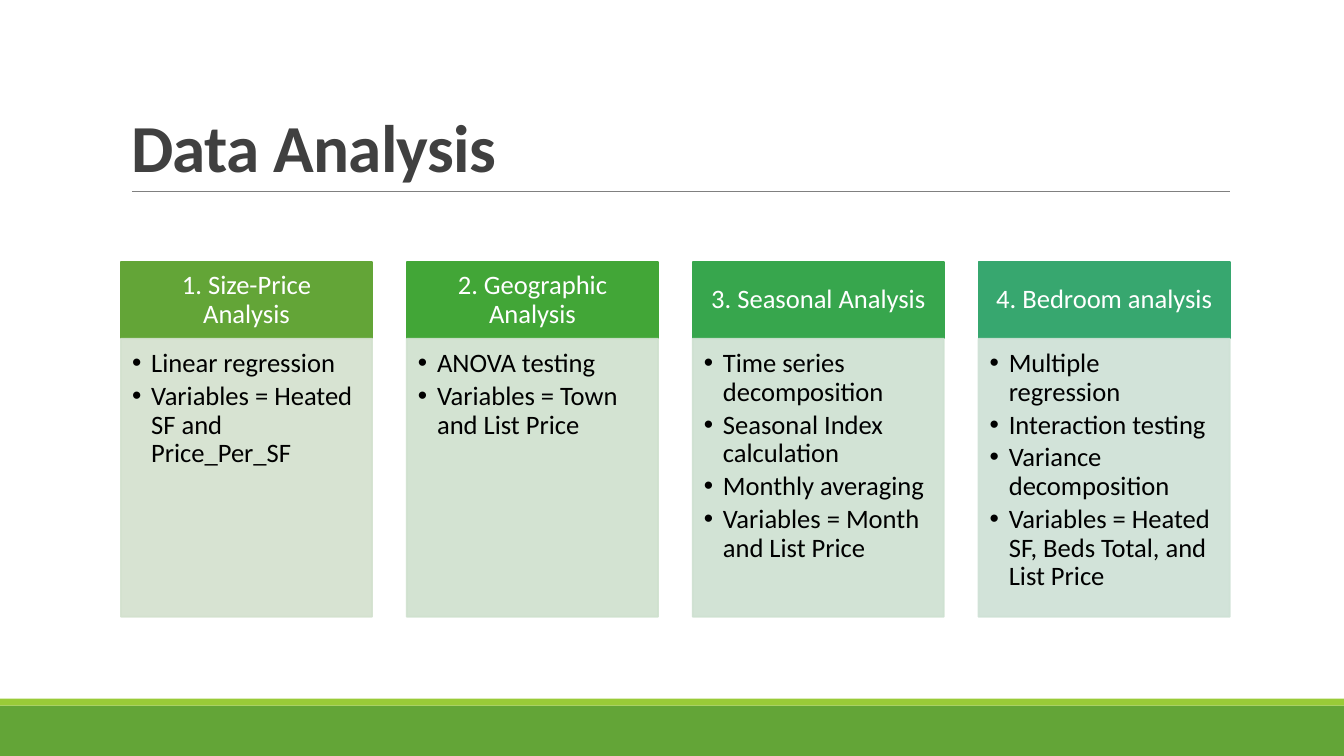
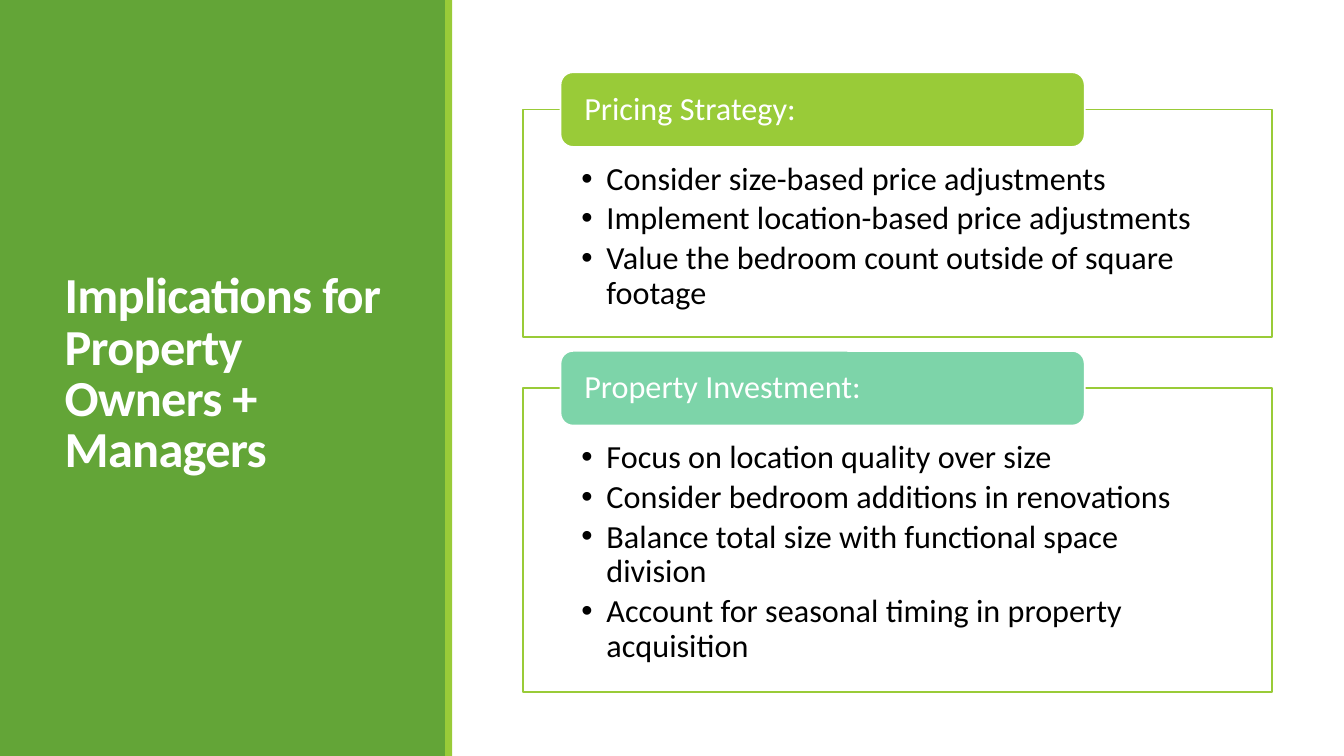
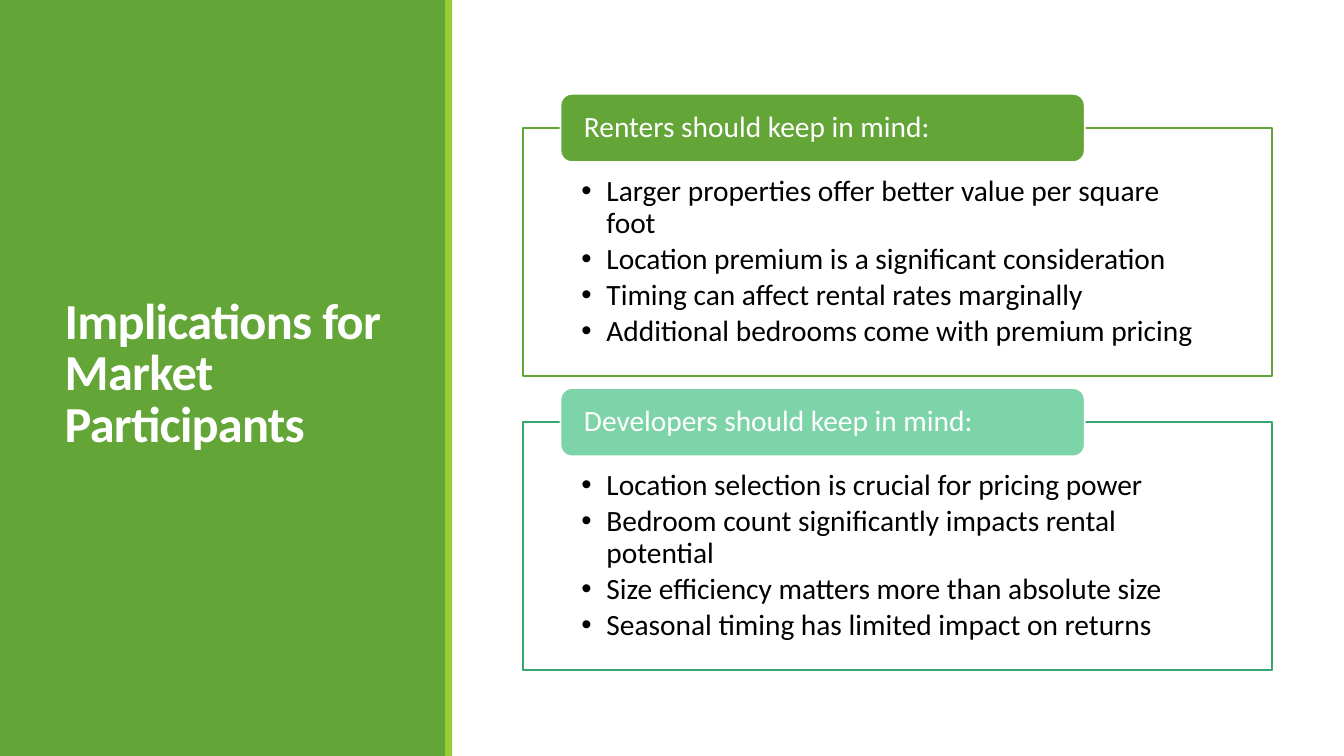
from lxml import etree
from pptx import Presentation
from pptx.dml.color import RGBColor
from pptx.enum.shapes import MSO_SHAPE as Preset
from pptx.enum.text import MSO_ANCHOR as Anchor, MSO_AUTO_SIZE as AutoSize, PP_ALIGN as Align
from pptx.oxml.ns import qn
from pptx.util import Pt

WHITE = RGBColor(0xFF, 0xFF, 0xFF)
BLACK = RGBColor(0x00, 0x00, 0x00)
CHARCOAL = RGBColor(0x40, 0x40, 0x40)
GRAY = RGBColor(0x80, 0x80, 0x80)
GREEN = RGBColor(0x63, 0xA5, 0x37)
LIME = RGBColor(0x99, 0xCB, 0x38)
LEAF = RGBColor(0x42, 0xA6, 0x37)
EMERALD = RGBColor(0x37, 0xA6, 0x4D)
TEAL = RGBColor(0x37, 0xA7, 0x6F)
MINT = RGBColor(0x7D, 0xD4, 0xA9)
PALE_GREEN = RGBColor(0xD3, 0xE1, 0xCE)
PALE_LEAF = RGBColor(0xCF, 0xE1, 0xCE)
PALE_EMERALD = RGBColor(0xCE, 0xE1, 0xD1)
PALE_TEAL = RGBColor(0xCE, 0xE1, 0xD5)

FONT = "Calibri"
SLIDE_W, SLIDE_H = 960, 540
BAND = 5


def write(frame, lines, size, color, bold=False, align=Align.LEFT, anchor=Anchor.TOP,
          insets=(7.2, 3.6, 7.2, 3.6), spacing=0.9, after=0, indent=0, tracking=0):
    """Fill a text frame, one paragraph a line; a positive indent adds bullets."""
    frame.word_wrap = True
    frame.auto_size = AutoSize.NONE
    frame.vertical_anchor = anchor
    frame.margin_left, frame.margin_top, frame.margin_right, frame.margin_bottom = map(Pt, insets)
    for index, line in enumerate(lines):
        paragraph = frame.add_paragraph() if index else frame.paragraphs[0]
        paragraph.alignment = align
        paragraph.line_spacing = spacing
        paragraph.space_before = Pt(0)
        paragraph.space_after = Pt(after)
        if indent:
            properties = paragraph._p.get_or_add_pPr()
            properties.set("marL", str(Pt(indent)))
            properties.set("indent", str(-Pt(indent)))
            etree.SubElement(properties, qn("a:buFont")).set("typeface", "Arial")
            etree.SubElement(properties, qn("a:buChar")).set("char", "•")
        run = paragraph.add_run()
        run.text = line
        run.font.name, run.font.size, run.font.bold = FONT, Pt(size), bold
        run.font.color.rgb = color
        if tracking:
            run._r.get_or_add_rPr().set("spc", str(int(tracking * 100)))


class Deck:
    def __init__(self):
        self.presentation = Presentation()
        self.presentation.slide_width = Pt(SLIDE_W)
        self.presentation.slide_height = Pt(SLIDE_H)
        self.slide = None

    def new_slide(self):
        self.slide = self.presentation.slides.add_slide(self.presentation.slide_layouts[5])

    def title(self, text, left, top, width, height, **style):
        """Place the title placeholder in front of what is drawn so far."""
        title = self.slide.shapes.title
        title.left, title.top, title.width, title.height = map(Pt, (left, top, width, height))
        write(title.text_frame, [text], bold=True, spacing=0.85, tracking=-0.5, **style)
        title.element.getparent().append(title.element)

    def block(self, left, top, width, height, fill, line=None, preset=Preset.RECTANGLE, opacity=100):
        shape = self.slide.shapes.add_shape(preset, *map(Pt, (left, top, width, height)))
        shape.shadow.inherit = False
        shape.fill.solid()
        shape.fill.fore_color.rgb = fill
        if line is None:
            shape.line.fill.background()
        else:
            shape.line.color.rgb = line
            shape.line.width = Pt(1.25)
        if opacity < 100:
            for color in shape.element.spPr.iter(qn("a:srgbClr")):
                etree.SubElement(color, qn("a:alpha")).set("val", str(opacity * 1000))
        return shape.text_frame

    def rule(self, left, right, y):
        line = self.slide.shapes.add_connector(1, Pt(left), Pt(y), Pt(right), Pt(y))
        line.line.color.rgb = GRAY
        line.line.width = Pt(0.5)
        etree.SubElement(line.element.spPr, qn("a:effectLst"))

    def bullets(self, frame, items, size, indent, insets):
        write(frame, items, size, BLACK, after=round(size * 0.15, 2), indent=indent, insets=insets)

    def column(self, left, heading, items, accent, tint):
        top, width, head_height, body_height, size = 187.2, 179.4, 54.7, 198.7, 19
        head = self.block(left, top, width, head_height, accent, accent)
        write(head, [heading], size, WHITE, align=Align.CENTER, anchor=Anchor.MIDDLE,
              insets=(10.8, 5.8, 10.8, 5.8))
        body = self.block(left, top + head_height, width, body_height, tint, tint, opacity=90)
        self.bullets(body, items, size, 13.7, (7.9, 7.9, 10.8, 12))

    def panel(self, top, height, heading, items, size, tab_color, border):
        """Outlined list with a tab centred on its top edge."""
        tab_height = size * 2.32
        body = self.block(373.6, top, 535, height, WHITE, border)
        self.bullets(body, items, size, 18, (41.6, size * 1.64, 41.6, 12))
        tab = self.block(400.4, top - tab_height / 2, 374.4, tab_height, tab_color, WHITE,
                         Preset.ROUNDED_RECTANGLE)
        write(tab, [heading], size, WHITE, anchor=Anchor.MIDDLE, insets=(14.4, 0, 14.4, 0))

    def columns_slide(self, title, columns):
        self.new_slide()
        self.block(0, 504, SLIDE_W, 36, GREEN)
        self.block(0, 504 - BAND, SLIDE_W, BAND, LIME)
        self.rule(94.3, 878.8, 136.8)
        self.title(title, 86.4, 22.6, 792, 114.2, size=48, color=CHARCOAL, anchor=Anchor.BOTTOM)
        for index, column in enumerate(columns):
            self.column(86.4 + index * 204.2, *column)

    def implications_slide(self, title, top, size, panels):
        self.new_slide()
        self.block(0, 0, 319, SLIDE_H, GREEN)
        self.title(title, 39, 41, 242.6, 454.3, size=36, color=WHITE, anchor=Anchor.MIDDLE)
        self.block(318, 0, BAND, SLIDE_H, LIME)
        for height, heading, items, tab_color, border in panels:
            self.panel(top, height, heading, items, size, tab_color, border)
            top += height + size * 1.58


def main():
    deck = Deck()
    deck.columns_slide("Data Analysis", [
        ("1. Size-Price Analysis",
         ["Linear regression", "Variables = Heated SF and Price_Per_SF"], GREEN, PALE_GREEN),
        ("2. Geographic Analysis",
         ["ANOVA testing", "Variables = Town and List Price"], LEAF, PALE_LEAF),
        ("3. Seasonal Analysis",
         ["Time series decomposition", "Seasonal Index calculation", "Monthly averaging",
          "Variables = Month and List Price"], EMERALD, PALE_EMERALD),
        ("4. Bedroom analysis",
         ["Multiple regression", "Interaction testing", "Variance decomposition",
          "Variables = Heated SF, Beds Total, and List Price"], TEAL, PALE_TEAL),
    ])
    deck.implications_slide("Implications for Property Owners + Managers", 78.3, 23, [
        (162.7, "Pricing Strategy:",
         ["Consider size-based price adjustments",
          "Implement location-based price adjustments",
          "Value the bedroom count outside of square footage"], LIME, LIME),
        (216.9, "Property Investment:",
         ["Focus on location quality over size",
          "Consider bedroom additions in renovations",
          "Balance total size with functional space division",
          "Account for seasonal timing in property acquisition"], MINT, LIME),
    ])
    deck.implications_slide("Implications for Market Participants", 91.4, 21, [
        (177, "Renters should keep in mind:",
         ["Larger properties offer better value per square foot",
          "Location premium is a significant consideration",
          "Timing can affect rental rates marginally",
          "Additional bedrooms come with premium pricing"], GREEN, GREEN),
        (177, "Developers should keep in mind:",
         ["Location selection is crucial for pricing power",
          "Bedroom count significantly impacts rental potential",
          "Size efficiency matters more than absolute size",
          "Seasonal timing has limited impact on returns"], MINT, TEAL),
    ])
    deck.presentation.save("out.pptx")


if __name__ == "__main__":
    main()
